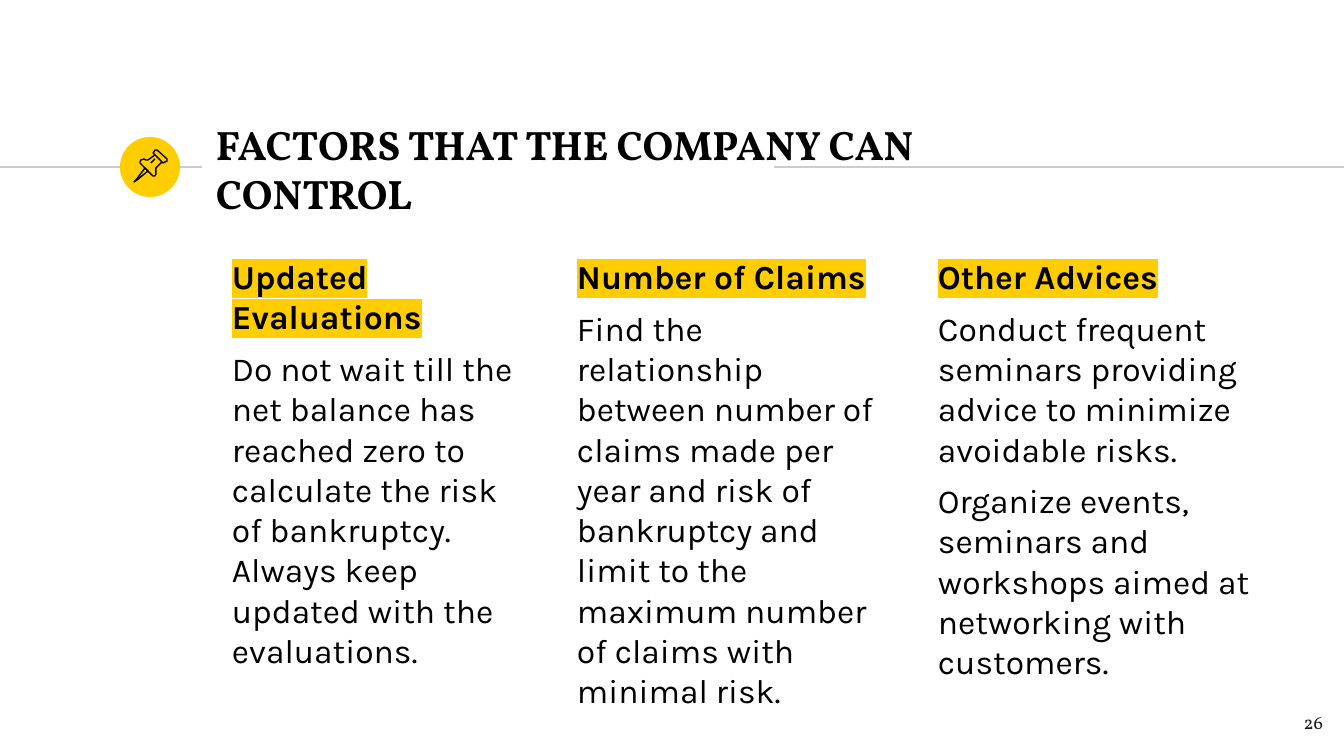
from dataclasses import dataclass

from lxml import etree
from pptx import Presentation
from pptx.dml.color import RGBColor
from pptx.enum.shapes import MSO_CONNECTOR, MSO_SHAPE
from pptx.enum.text import MSO_ANCHOR, MSO_AUTO_SIZE, PP_ALIGN
from pptx.oxml.ns import qn
from pptx.util import Pt

EMU_PER_PX = 914400 / 134.4
STRAIGHT = MSO_CONNECTOR.STRAIGHT
OVAL = MSO_SHAPE.OVAL
TOP, MIDDLE = MSO_ANCHOR.TOP, MSO_ANCHOR.MIDDLE
LEFT, RIGHT = PP_ALIGN.LEFT, PP_ALIGN.RIGHT
FIXED_SIZE = MSO_AUTO_SIZE.NONE

BLACK = RGBColor(0x00, 0x00, 0x00)
INK = RGBColor(0x1D, 0x1D, 0x1B)
YELLOW = RGBColor(0xFF, 0xCD, 0x00)
RULE_GRAY = RGBColor(0xCC, 0xCC, 0xCC)
HEADING_FONT, BODY_FONT = "Vollkorn", "Karla"

INSET = 13
RULE_Y = 167
COLUMN_LEFT, COLUMN_TOP, COLUMN_PITCH = 203, 243, 361
COLUMN_WIDTH, COLUMN_HEIGHT = 343, 458


@dataclass(frozen=True)
class Column:
    heading: str
    advice: tuple[str, ...]
    indent: int = 0


@dataclass(frozen=True)
class Outline:
    points: tuple[tuple[int, int], ...]
    closed: bool


COLUMNS = (
    Column(
        "Updated Evaluations",
        ("Do not wait till the net balance has reached zero to calculate the risk "
         "of bankruptcy. Always keep updated with the evaluations.",),
        indent=16,
    ),
    Column(
        "Number of Claims",
        ("Find the relationship between number of claims made per year and risk of "
         "bankruptcy and limit to the maximum number of claims with minimal risk.",),
    ),
    Column(
        "Other Advices",
        ("Conduct frequent seminars providing advice to minimize avoidable risks.",
         "Organize events, seminars and workshops aimed at networking with customers."),
    ),
)

PIN_NEEDLE = Outline(((145, 168), (136, 180), (134, 182), (137, 180), (148, 171)), True)
PIN_HEAD = Outline(
    ((155, 155), (162, 162), (163, 163), (165, 162), (167, 161), (167, 159),
     (157, 150), (155, 150), (154, 152), (153, 153)), True)
PIN_BODY = Outline(
    ((155, 155), (148, 160), (146, 160), (144, 159), (141, 160), (140, 162),
     (140, 163), (153, 176), (155, 176), (156, 174), (156, 168), (162, 162)), False)


def px(length: int) -> int:
    return round(length * EMU_PER_PX)


def add_rule(slide, start: tuple[int, int], end: tuple[int, int], color: RGBColor) -> None:
    rule = slide.shapes.add_connector(STRAIGHT, *map(px, start + end))
    rule.line.color.rgb = color
    rule.line.width = Pt(0.75)
    etree.SubElement(rule._element.spPr, qn("a:effectLst"))


def add_outline(slide, outline: Outline) -> None:
    start, *rest = outline.points
    builder = slide.shapes.build_freeform(*start, scale=EMU_PER_PX)
    builder.add_line_segments(rest, close=outline.closed)
    shape = builder.convert_to_shape()
    shape.fill.background()
    shape.line.color.rgb = BLACK
    shape.line.width = Pt(0.75)
    shape.shadow.inherit = False


def set_frame(frame, anchor=TOP) -> None:
    frame.word_wrap = True
    frame.auto_size = FIXED_SIZE
    frame.vertical_anchor = anchor
    frame.margin_left = frame.margin_right = px(INSET)
    frame.margin_top = frame.margin_bottom = px(INSET)


def set_font(paragraph, name: str, size: int, color: RGBColor, bold: bool = False) -> None:
    paragraph.font.name = name
    paragraph.font.size = Pt(size)
    paragraph.font.color.rgb = color
    paragraph.font.bold = bold


def highlight(run, color: RGBColor) -> None:
    mark = etree.SubElement(run._r.get_or_add_rPr(), qn("a:highlight"))
    etree.SubElement(mark, qn("a:srgbClr"), val=str(color))


def add_column(slide, column: Column, left: int) -> None:
    box = slide.shapes.add_textbox(
        px(left), px(COLUMN_TOP), px(COLUMN_WIDTH), px(COLUMN_HEIGHT))
    frame = box.text_frame
    set_frame(frame)
    frame.text = "\n".join((column.heading, *column.advice))
    for index, paragraph in enumerate(frame.paragraphs):
        paragraph.space_before = Pt(6)
        paragraph._p.get_or_add_pPr().set("marL", str(px(column.indent)))
        set_font(paragraph, BODY_FONT, 18, BLACK, bold=index == 0)
    highlight(frame.paragraphs[0].runs[0], YELLOW)


def add_badge(slide) -> None:
    badge = slide.shapes.add_shape(OVAL, px(120), px(137), px(60), px(60))
    badge.fill.solid()
    badge.fill.fore_color.rgb = YELLOW
    badge.line.fill.background()
    badge.shadow.inherit = False


def place_title(slide, text: str) -> None:
    title = slide.shapes.title
    title.left, title.top, title.width, title.height = map(px, (203, 136, 816, 65))
    set_frame(title.text_frame, MIDDLE)
    title.text_frame.text = text
    paragraph = title.text_frame.paragraphs[0]
    paragraph.alignment = LEFT
    set_font(paragraph, HEADING_FONT, 22, BLACK, bold=True)
    slide.shapes._spTree.append(title._element)


def add_page_number(slide, number: str) -> None:
    box = slide.shapes.add_textbox(px(1255), px(698), px(81), px(58))
    set_frame(box.text_frame)
    box.text_frame.text = number
    paragraph = box.text_frame.paragraphs[0]
    paragraph.alignment = RIGHT
    set_font(paragraph, HEADING_FONT, 10, INK)


def main() -> None:
    presentation = Presentation()
    presentation.slide_width, presentation.slide_height = px(1344), px(756)
    slide = presentation.slides.add_slide(presentation.slide_layouts[5])

    add_rule(slide, (0, RULE_Y), (202, RULE_Y), RULE_GRAY)
    add_badge(slide)
    add_rule(slide, (774, RULE_Y), (1344, RULE_Y), RULE_GRAY)
    place_title(slide, "FACTORS THAT THE COMPANY CAN CONTROL")
    for index, column in enumerate(COLUMNS):
        add_column(slide, column, COLUMN_LEFT + index * COLUMN_PITCH)
    for outline in (PIN_NEEDLE, PIN_HEAD, PIN_BODY):
        add_outline(slide, outline)
    add_rule(slide, (151, 163), (155, 159), BLACK)
    add_page_number(slide, "26")

    presentation.save("out.pptx")


if __name__ == "__main__":
    main()
